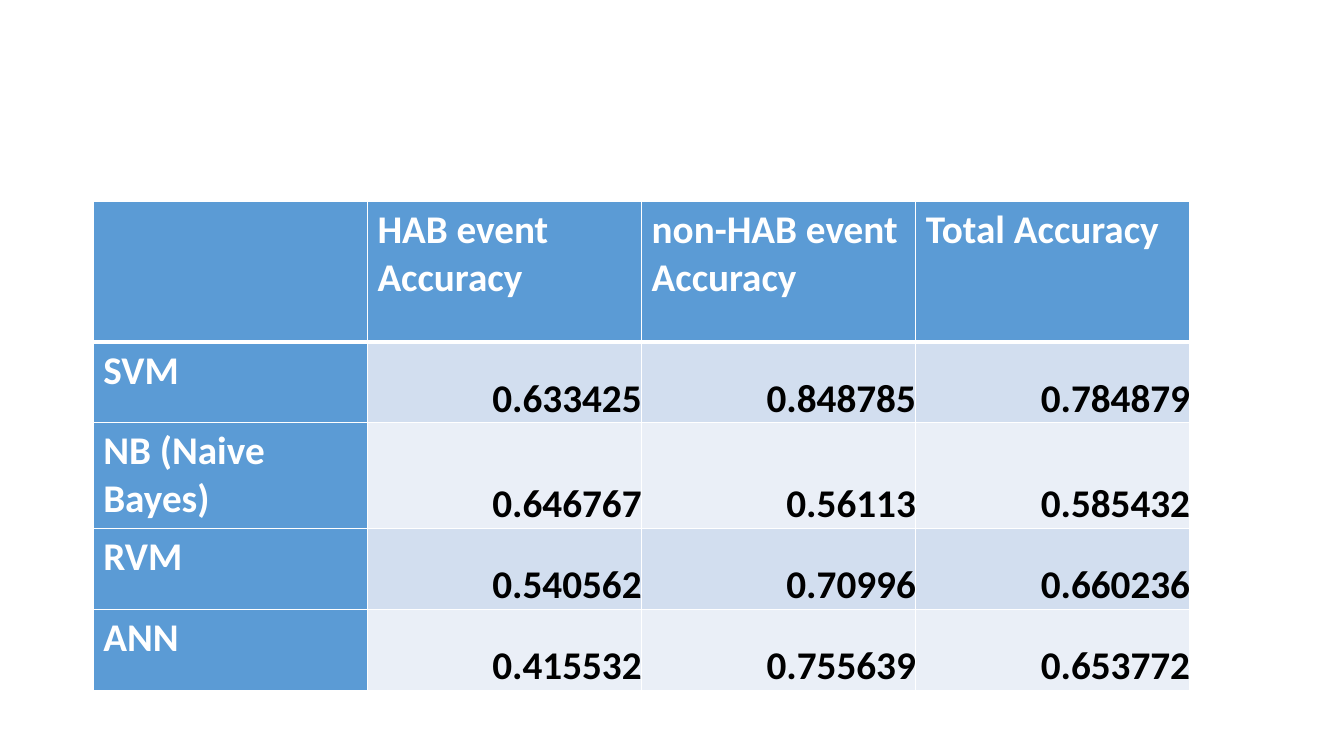
from lxml import etree
from pptx import Presentation
from pptx.dml.color import RGBColor
from pptx.enum.text import MSO_ANCHOR, PP_ALIGN
from pptx.oxml.ns import qn
from pptx.util import Cm, Pt

BOTTOM = MSO_ANCHOR.BOTTOM
RIGHT = PP_ALIGN.RIGHT
WHITE = RGBColor(0xFF, 0xFF, 0xFF)
BLACK = RGBColor(0x00, 0x00, 0x00)
BLUE = RGBColor(0x5B, 0x9B, 0xD5)
BANDS = [RGBColor(0xEA, 0xEF, 0xF7), RGBColor(0xD2, 0xDE, 0xEF)]

ROWS = [
    ["", "HAB event Accuracy", "non-HAB event Accuracy", "Total Accuracy"],
    ["SVM", "0.633425", "0.848785", "0.784879"],
    ["NB (Naive Bayes)", "0.646767", "0.56113", "0.585432"],
    ["RVM", "0.540562", "0.70996", "0.660236"],
    ["ANN", "0.415532", "0.755639", "0.653772"],
]


def add_edge(cell, side, width):
    """Draw a white border on one side (L, R, T or B) of a cell."""
    props = cell._tc.get_or_add_tcPr()
    line = etree.SubElement(props, qn(f"a:ln{side}"), w=str(Pt(width)))
    fill = etree.SubElement(line, qn("a:solidFill"))
    etree.SubElement(fill, qn("a:srgbClr"), val=str(WHITE))


deck = Presentation()
deck.slide_width = Cm(33.87)
deck.slide_height = Cm(19.05)
slide = deck.slides.add_slide(deck.slide_layouts[6])

frame = slide.shapes.add_table(
    len(ROWS), len(ROWS[0]), Cm(2.35), Cm(5.08), Cm(27.64), Cm(11.67))
table = frame.table
for col in table.columns:
    col.width = Cm(6.91)
for r, row in enumerate(table.rows):
    row.height = Cm(2.04) if r else Cm(3.53)

for r, texts in enumerate(ROWS):
    for c, text in enumerate(texts):
        cell = table.cell(r, c)
        value = r > 0 and c > 0
        add_edge(cell, "L", 1)
        add_edge(cell, "R", 1)
        add_edge(cell, "T", 3 if r == 1 else 1)
        add_edge(cell, "B", 3 if r == 0 else 1)
        cell.fill.solid()
        cell.fill.fore_color.rgb = BANDS[r % 2] if value else BLUE

        para = cell.text_frame.paragraphs[0]
        if value:
            cell.vertical_anchor = BOTTOM
            cell.margin_left = cell.margin_right = Cm(0)
            cell.margin_top = cell.margin_bottom = Cm(0)
            para.alignment = RIGHT
        if text:
            run = para.add_run()
            run.text = text
            run.font.name = "Calibri"
            run.font.size = Pt(28)
            run.font.bold = True
            run.font.color.rgb = BLACK if value else WHITE

deck.save("out.pptx")
